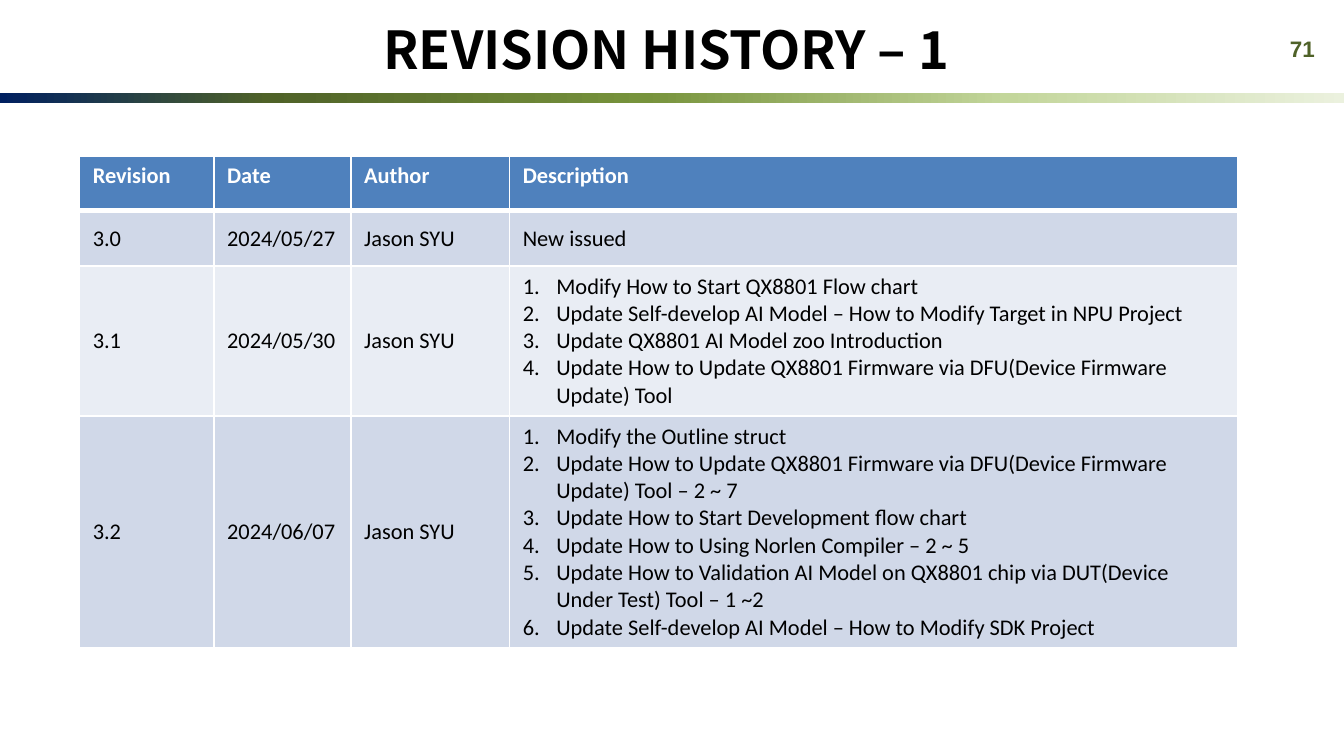
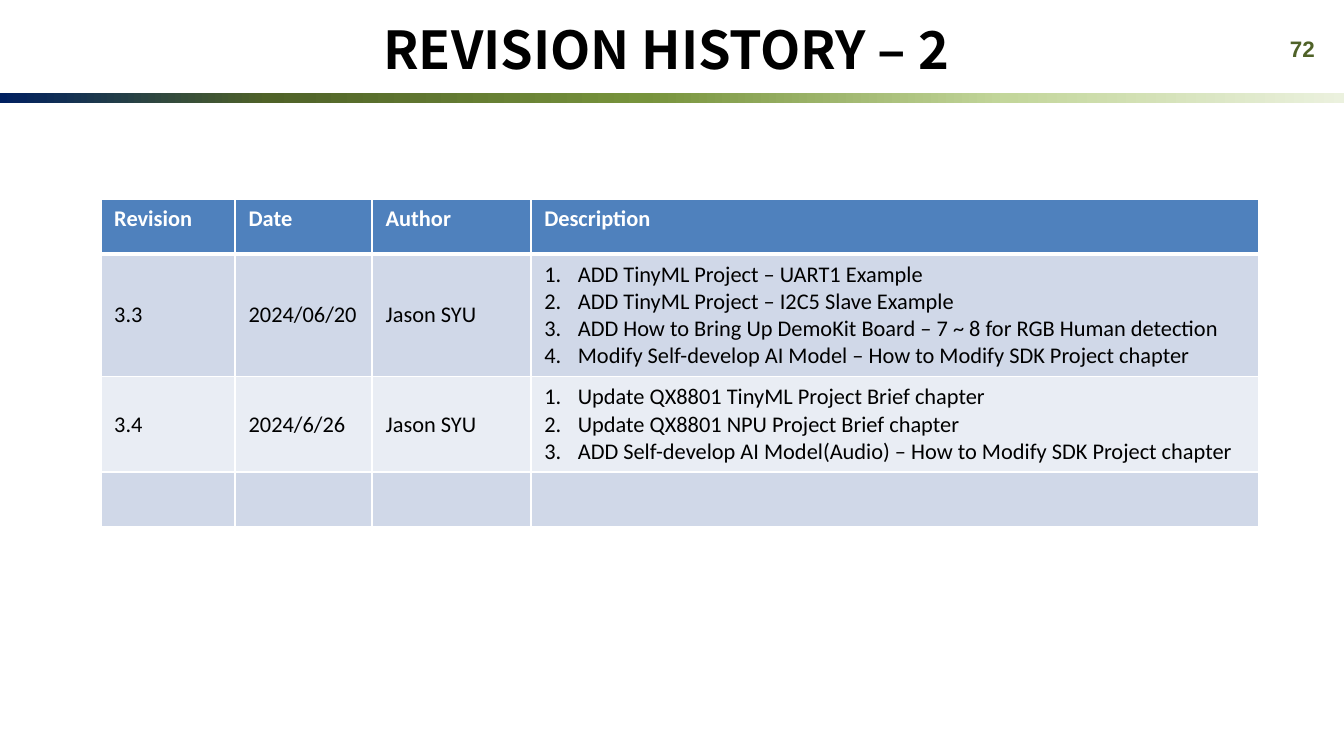
from pptx import Presentation
from pptx.dml.color import RGBColor
from pptx.enum.shapes import MSO_SHAPE
from pptx.enum.text import MSO_ANCHOR, MSO_AUTO_SIZE, PP_ALIGN
from pptx.oxml import parse_xml
from pptx.oxml.ns import nsdecls
from pptx.util import Inches, Pt

WIDE = 10
HIGH = WIDE * 9 / 16
WHITE, BLACK, OLIVE = "FFFFFF", "000000", "4F6228"
HEAD_FILL = "4F81BD"
ROW_FILLS = ["D0D8E8", "E9EDF4"]
STOPS = [(0, "002060"), (20, OLIVE), (48, "77933C"), (75, "C3D69B"), (100, "EBF1DE")]

TITLE_FONT = {"name": "Noto Sans CJK SC", "size": Pt(28), "bold": True}
PAGE_FONT = {"name": "Arial", "size": Pt(12), "bold": True}
HEAD_FONT = {"name": "Calibri", "size": Pt(12), "bold": True}
CELL_FONT = {**HEAD_FONT, "bold": False}
MIDDLE = {"word_wrap": True, "vertical_anchor": MSO_ANCHOR.MIDDLE,
          "auto_size": MSO_AUTO_SIZE.NONE}

HEADS = ["Revision", "Date", "Author", "Description"]
COLS = [1, 1.02, 1.18, 5.42]
ROW_HIGH = 0.41
AUTHOR = "Jason SYU"

PAGES = [
    {"title": "REVISION HISTORY – 1 ", "page": "71", "box": (0.59, 1.16), "rows": [
        ["3.0", "2024/05/27", AUTHOR, "New issued"],
        ["3.1", "2024/05/30", AUTHOR, [
            "Modify How to Start QX8801 Flow chart",
            "Update Self-develop AI Model – How to Modify Target in NPU Project",
            "Update QX8801 AI Model zoo Introduction",
            "Update How to Update QX8801 Firmware via DFU(Device Firmware Update) Tool"]],
        ["3.2", "2024/06/07", AUTHOR, [
            "Modify the Outline struct",
            "Update How to Update QX8801 Firmware via DFU(Device Firmware Update) Tool – 2 ~ 7",
            "Update How to Start Development flow chart",
            "Update How to Using Norlen Compiler – 2 ~ 5",
            "Update How to Validation AI Model on QX8801 chip via DUT(Device Under Test) Tool – 1 ~2",
            "Update Self-develop AI Model – How to Modify SDK Project"]],
    ]},
    {"title": "REVISION HISTORY – 2 ", "page": "72", "box": (0.75, 1.48), "rows": [
        ["3.3", "2024/06/20", AUTHOR, [
            "ADD TinyML Project – UART1 Example",
            "ADD TinyML Project – I2C5 Slave Example",
            "ADD How to Bring Up DemoKit Board – 7 ~ 8 for RGB Human detection",
            "Modify Self-develop AI Model – How to Modify SDK Project chapter"]],
        ["3.4", "2024/6/26", AUTHOR, [
            "Update QX8801 TinyML Project Brief chapter",
            "Update QX8801 NPU Project Brief chapter",
            "ADD Self-develop AI Model(Audio) – How to Modify SDK Project chapter"]],
        [""] * 4,
    ]},
]


def color(code):
    return RGBColor.from_string(code)


def apply(item, values):
    for key, value in values.items():
        setattr(item, key, value)


def write(para, text, font, code):
    run = para.add_run()
    run.text = text
    apply(run.font, font)
    run.font.color.rgb = color(code)


def label(shape, text, font, code):
    frame = shape.text_frame
    apply(frame, MIDDLE)
    para = frame.paragraphs[0]
    para.alignment = PP_ALIGN.CENTER
    write(para, text, font, code)


def add_band(slide, box):
    band = slide.shapes.add_shape(MSO_SHAPE.RECTANGLE, *map(Inches, box))
    band.shadow.inherit = False
    band.line.fill.background()
    band.fill.gradient()
    band.fill.gradient_angle = 0
    stops = band.element.find(".//{*}gsLst")
    for stop in list(stops):
        stops.remove(stop)
    for spot, code in STOPS:
        stops.append(parse_xml(
            f'<a:gs {nsdecls("a")} pos="{spot * 1000}"><a:srgbClr val="{code}"/></a:gs>'))
    slide.slide_layout.shapes.element.append(band.element)


def add_head(slide, title, page, box):
    left, top, width, height = box
    head = slide.shapes.title
    apply(head, {"left": Inches(left), "top": Inches(top),
                 "width": Inches(width), "height": Inches(height)})
    label(head, title, TITLE_FONT, BLACK)
    spot = (left + width - 0.55, top + 0.12, 0.48, 0.3)
    label(slide.shapes.add_textbox(*map(Inches, spot)), page, PAGE_FONT, OLIVE)


def add_edges(cell, row):
    props = cell._tc.get_or_add_tcPr()
    thick = {(0, "B"), (1, "T")}
    for side in "LRTB":
        width = Pt(3 if (row, side) in thick else 1)
        props.append(parse_xml(
            f'<a:ln{side} {nsdecls("a")} w="{width}"><a:solidFill>'
            f'<a:srgbClr val="{WHITE}"/></a:solidFill></a:ln{side}>'))


def number(para):
    props = para._p.get_or_add_pPr()
    props.set("marL", str(Inches(0.25)))
    props.set("indent", str(-Inches(0.25)))
    props.append(parse_xml(f'<a:buAutoNum {nsdecls("a")} type="arabicPeriod"/>'))


def fill_cell(cell, row, value):
    add_edges(cell, row)
    cell.fill.solid()
    cell.fill.fore_color.rgb = color(ROW_FILLS[(row - 1) % 2] if row else HEAD_FILL)
    cell.vertical_anchor = MSO_ANCHOR.MIDDLE if row else MSO_ANCHOR.TOP
    font, code = (CELL_FONT, BLACK) if row else (HEAD_FONT, WHITE)
    listed = isinstance(value, list)
    frame = cell.text_frame
    for place, text in enumerate(value if listed else [value]):
        para = frame.add_paragraph() if place else frame.paragraphs[0]
        if listed:
            number(para)
        if text:
            write(para, text, font, code)


def add_log(slide, rows, box):
    rows = [HEADS] + rows
    size = (sum(COLS), ROW_HIGH * len(rows))
    table = slide.shapes.add_table(
        len(rows), len(COLS), *map(Inches, box + size)).table
    for col, width in zip(table.columns, COLS):
        col.width = Inches(width)
    for row, values in enumerate(rows):
        table.rows[row].height = Inches(ROW_HIGH)
        for col, value in enumerate(values):
            fill_cell(table.cell(row, col), row, value)


def main():
    deck = Presentation()
    apply(deck, {"slide_width": Inches(WIDE), "slide_height": Inches(HIGH)})
    layout = deck.slide_layouts[5]
    for place, page in enumerate(PAGES):
        slide = deck.slides.add_slide(layout)
        if place == 0:
            add_band(slide, (0, 0.69, WIDE, 0.08))
        add_head(slide, page["title"], page["page"], (0, 0.09, WIDE, 0.54))
        add_log(slide, page["rows"], page["box"])
    deck.save("out.pptx")


if __name__ == "__main__":
    main()
